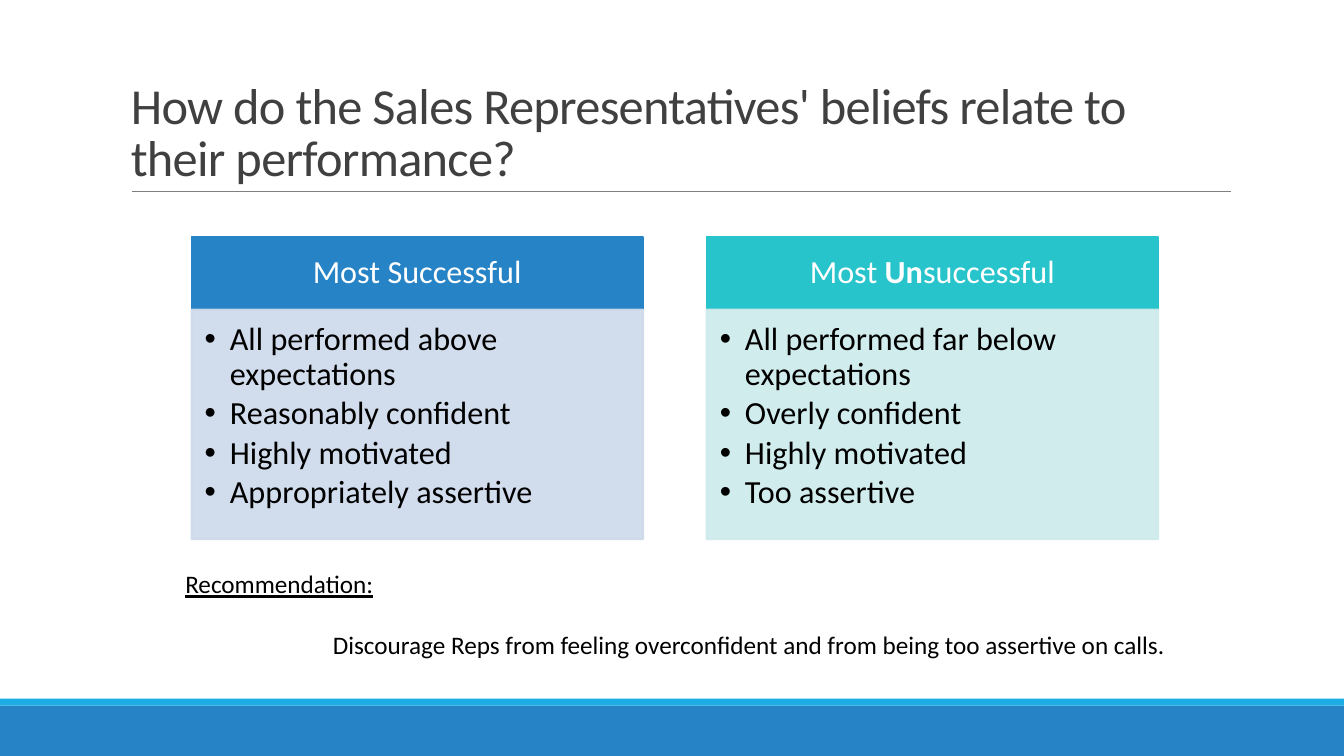
from dataclasses import dataclass

from lxml import etree
from pptx import Presentation
from pptx.dml.color import RGBColor
from pptx.enum.shapes import MSO_CONNECTOR, MSO_SHAPE
from pptx.enum.text import MSO_ANCHOR, PP_ALIGN
from pptx.oxml.ns import qn
from pptx.util import Pt

RECT = MSO_SHAPE.RECTANGLE
STRAIGHT = MSO_CONNECTOR.STRAIGHT
TOP, MIDDLE, BOTTOM = MSO_ANCHOR.TOP, MSO_ANCHOR.MIDDLE, MSO_ANCHOR.BOTTOM
LEFT, CENTER = PP_ALIGN.LEFT, PP_ALIGN.CENTER

FONT = "Calibri"
WIDTH, HEIGHT = 960, 540
BLUE, SKY, BLACK, WHITE = "2683C6", "1CADE4", "000000", "FFFFFF"

PANEL_LEFT, PANEL_TOP, PANEL_PITCH = 136.8, 169.2, 367.9
PANEL_WIDTH, HEAD_HEIGHT, BODY_HEIGHT = 322.6, 51.8, 164.2


@dataclass
class Panel:
    """A headed list; heading runs pair a text with its bold flag."""
    heading: list[tuple[str, bool]]
    head_fill: str
    body_fill: str
    points: list[str]


PANELS = [
    Panel([("Most Successful", False)], BLUE, "CDD9EA",
          ["All performed above expectations", "Reasonably confident",
           "Highly motivated", "Appropriately assertive"]),
    Panel([("Most ", False), ("Un", True), ("successful", False)],
          "28C4CC", "CDEAEC",
          ["All performed far below expectations", "Overly confident",
           "Highly motivated", "Too assertive"]),
]


def rgb(color: str) -> RGBColor:
    """Turn a hex string into a colour."""
    return RGBColor.from_string(color)


def add_rect(s, x: float, y: float, w: float, h: float, color: str,
             outlined: bool = False, opacity: int = 100):
    """Draw a flat rectangle, with an outline of the same colour if asked."""
    sp = s.shapes.add_shape(RECT, Pt(x), Pt(y), Pt(w), Pt(h))
    sp.shadow.inherit = False
    sp.fill.solid()
    sp.fill.fore_color.rgb = rgb(color)
    if outlined:
        sp.line.color.rgb = rgb(color)
        sp.line.width = Pt(1.25)
    else:
        sp.line.fill.background()
    if opacity < 100:
        for clr in sp._element.spPr.iter(qn("a:srgbClr")):
            etree.SubElement(clr, qn("a:alpha"), val=str(opacity * 1000))
    return sp


def add_box(s, x: float, y: float, w: float, h: float):
    """Add an empty text box."""
    return s.shapes.add_textbox(Pt(x), Pt(y), Pt(w), Pt(h))


def set_frame(sp, anchor, margins: tuple[float, float, float, float]):
    """Wrap the text and set its anchor and left, top, right, bottom margins."""
    tf = sp.text_frame
    tf.word_wrap = True
    tf.vertical_anchor = anchor
    tf.margin_left, tf.margin_top, tf.margin_right, tf.margin_bottom = map(Pt, margins)
    return tf


def format_text(tf, size: float, color: str, align=LEFT,
                line_spacing: float = 1.0, after: float = 0) -> None:
    """Format all paragraphs and runs of a text frame alike."""
    for p in tf.paragraphs:
        p.alignment = align
        p.line_spacing = line_spacing
        p.space_after = Pt(after)
        for r in p.runs:
            r.font.name = FONT
            r.font.size = Pt(size)
            r.font.color.rgb = rgb(color)


def set_indent(p, left: float, first: float = 0) -> None:
    """Indent a paragraph, and its first line relative to the rest."""
    pPr = p._p.get_or_add_pPr()
    pPr.set("marL", str(Pt(left)))
    pPr.set("indent", str(Pt(first)))


def add_bullet(p) -> None:
    """Give a paragraph a hanging round bullet."""
    set_indent(p, 18, -18)
    pPr = p._p.get_or_add_pPr()
    etree.SubElement(pPr, qn("a:buFont"), typeface="Arial")
    etree.SubElement(pPr, qn("a:buChar"), char="•")


def add_panel(s, x: float, panel: Panel) -> None:
    """Draw a heading with its bulleted list below."""
    head = add_rect(s, x, PANEL_TOP, PANEL_WIDTH, HEAD_HEIGHT,
                    panel.head_fill, outlined=True)
    tf = set_frame(head, MIDDLE, (13, 7.2, 13, 7.2))
    for text, bold in panel.heading:
        r = tf.paragraphs[0].add_run()
        r.text, r.font.bold = text, bold
    format_text(tf, 23, WHITE, CENTER, 0.9)

    body = add_rect(s, x, PANEL_TOP + HEAD_HEIGHT, PANEL_WIDTH, BODY_HEIGHT,
                    panel.body_fill, outlined=True, opacity=90)
    tf = set_frame(body, TOP, (9.4, 9.4, 13, 14.4))
    tf.text = "\n".join(panel.points)
    format_text(tf, 23, BLACK, LEFT, 0.9, 3.4)
    for p in tf.paragraphs:
        add_bullet(p)


def add_title(s, text: str) -> None:
    """Write the title above its rule."""
    line = s.shapes.add_connector(STRAIGHT, Pt(94.3), Pt(136.8), Pt(879.1), Pt(136.8))
    line.line.color.rgb = rgb("808080")
    line.line.width = Pt(0.5)
    etree.SubElement(line._element.spPr, qn("a:effectLst"))

    tf = set_frame(add_box(s, 86.4, 22.3, 792, 114.5), BOTTOM, (7.2, 3.6, 7.2, 3.6))
    tf.text = text
    format_text(tf, 36, "404040", LEFT, 0.85)
    tf.paragraphs[0].runs[0].font._element.set("spc", "-50")


def add_recommendation(s, label: str, advice: str) -> None:
    """Write the underlined label and the indented advice."""
    tf = set_frame(add_box(s, 125.3, 402.5, 753, 72.7), TOP, (7.2, 3.6, 7.2, 3.6))
    tf.text = f"{label}\n{advice}"
    format_text(tf, 18, BLACK)
    first, second = tf.paragraphs
    first.runs[0].font.underline = True
    second.space_before = Pt(22)
    set_indent(second, 105.4)


prs = Presentation()
prs.slide_width, prs.slide_height = Pt(WIDTH), Pt(HEIGHT)
s = prs.slides.add_slide(prs.slide_layouts[6])

add_rect(s, 0, 504, WIDTH, 36, BLUE)
add_rect(s, 0, 499, WIDTH, 5, SKY)
add_title(s, "How do the Sales Representatives' beliefs relate to their performance?")
for i, panel in enumerate(PANELS):
    add_panel(s, PANEL_LEFT + i * PANEL_PITCH, panel)
add_recommendation(s, "Recommendation:",
                   "Discourage Reps from feeling overconfident "
                   "and from being too assertive on calls.")

prs.save("out.pptx")
